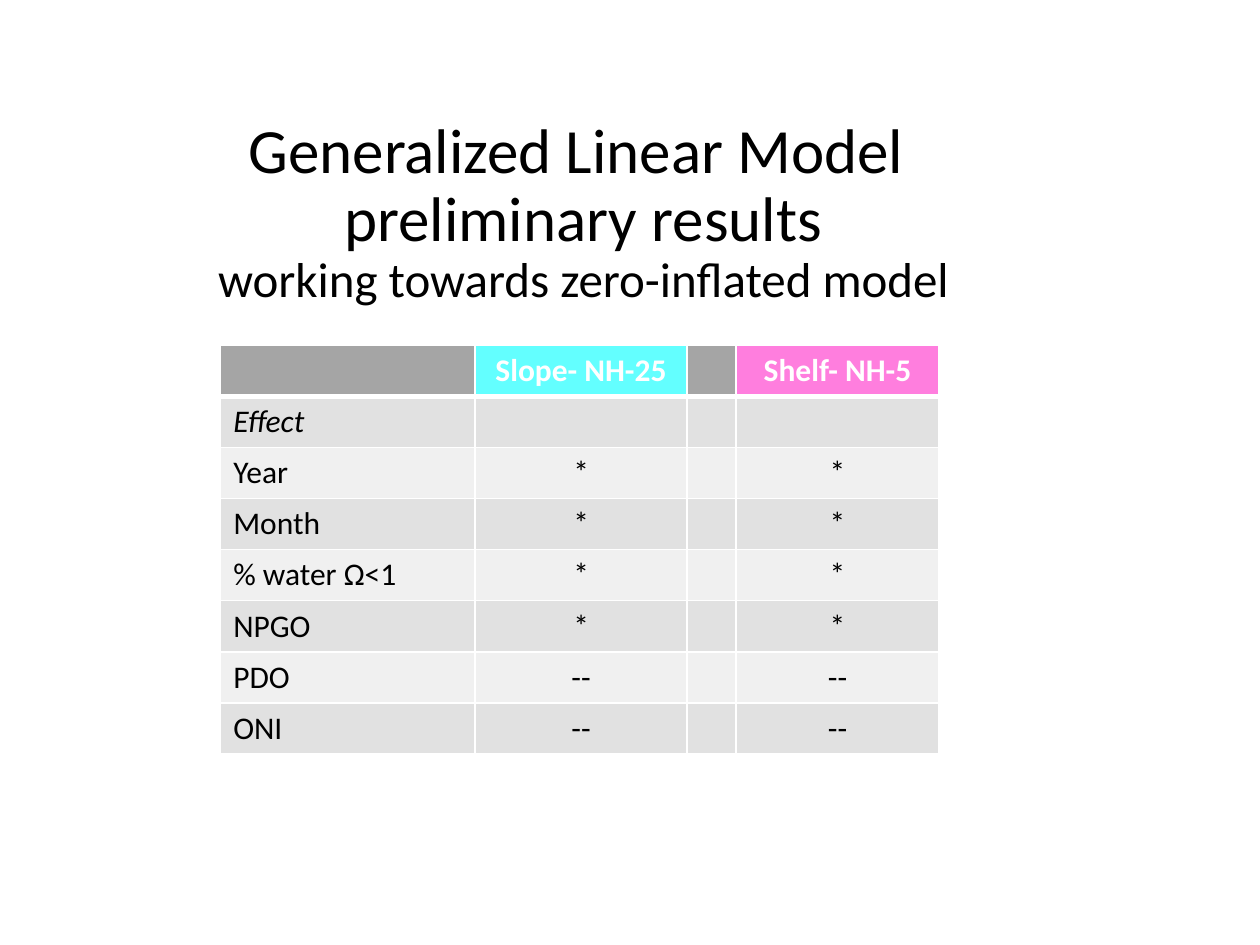
import pptx
import pptx.dml.color
import pptx.enum.text
import pptx.oxml
import pptx.oxml.ns
import pptx.util
from pptx.util import Cm

COLORS = {
    "text": "000000",
    "white": "FFFFFF",
    "header": "A5A5A5",
    "slope": "00FFFF",
    "shelf": "FF33CC",
    "odd_row": "E1E1E1",
    "even_row": "F0F0F0",
}
CENTER = pptx.enum.text.PP_ALIGN.CENTER
LEFT = pptx.enum.text.PP_ALIGN.LEFT

TITLE_PARTS = [
    ("Generalized Linear Model \vpreliminary results\v", 36),
    ("working towards zero-inflated model", 28),
]
HEADERS = ["", "Slope- NH-25", "", "Shelf- NH-5"]
HEADER_FILLS = [("header", None), ("slope", 61), ("header", None), ("shelf", 63)]
EFFECTS = [
    ("Effect", ""),
    ("Year", "*"),
    ("Month", "*"),
    ("% water Ω<1", "*"),
    ("NPGO", "*"),
    ("PDO", "--"),
    ("ONI", "--"),
]
COLUMN_WIDTHS = [5.13, 4.27, 0.99, 4.09]
ROW_HEIGHT = 1.03


class SlideBuilder:
    font_name = "Calibri"

    def __init__(self, slide):
        self.slide = slide

    def format_font(self, font, color, **values):
        for name, value in {"name": self.font_name, **values}.items():
            setattr(font, name, value)
        font.color.rgb = pptx.dml.color.RGBColor.from_string(COLORS[color])

    def title(self, parts, left, top, width, height):
        shape = self.slide.shapes.title
        box = {"left": left, "top": top, "width": width, "height": height}
        for name, value in box.items():
            setattr(shape, name, Cm(value))
        frame = shape.text_frame
        frame_format = {
            "word_wrap": True,
            "auto_size": pptx.enum.text.MSO_AUTO_SIZE.NONE,
            "vertical_anchor": pptx.enum.text.MSO_ANCHOR.MIDDLE,
        }
        for name, value in frame_format.items():
            setattr(frame, name, value)
        paragraph = frame.paragraphs[0]
        paragraph.alignment = CENTER
        paragraph.line_spacing = 0.9
        for text, size in parts:
            # A vertical tab marks a line break inside the paragraph
            lines = text.split("\v")
            for index, line in enumerate(lines):
                if index:
                    paragraph.add_line_break()
                if line:
                    run = paragraph.add_run()
                    run.text = line
                    self.format_font(run.font, "text", size=pptx.util.Pt(size))

    def table(self, left, top, column_widths, row_height, row_count):
        frame = self.slide.shapes.add_table(
            row_count, len(column_widths), Cm(left), Cm(top),
            Cm(sum(column_widths)), Cm(row_height * row_count))
        table = frame.table
        for column, width in zip(table.columns, column_widths):
            column.width = Cm(width)
        for row in table.rows:
            row.height = Cm(row_height)
        return table

    def cell(self, cell, text, fill, alpha=None, align=LEFT, color="text",
             borders=(1, 1, 1, 1), **font_values):
        paragraph = cell.text_frame.paragraphs[0]
        paragraph.alignment = align
        values = {"size": pptx.util.Pt(18), "bold": False, **font_values}
        if text:
            run = paragraph.add_run()
            run.text = text
            self.format_font(run.font, color, **values)
        cell.fill.solid()
        cell.fill.fore_color.rgb = pptx.dml.color.RGBColor.from_string(COLORS[fill])
        properties = cell._tc.get_or_add_tcPr()
        namespace = pptx.oxml.ns.nsdecls("a")
        if alpha:
            color_element = properties.find(".//" + pptx.oxml.ns.qn("a:srgbClr"))
            color_element.append(pptx.oxml.parse_xml(
                f'<a:alpha {namespace} val="{alpha * 1000}"/>'))
        # Borders come before the fill: left, right, top, bottom
        for index, (side, points) in enumerate(zip("LRTB", borders)):
            properties.insert(index, pptx.oxml.parse_xml(
                f'<a:ln{side} {namespace} w="{pptx.util.Pt(points)}"><a:solidFill>'
                f'<a:srgbClr val="{COLORS["white"]}"/></a:solidFill></a:ln{side}>'))


def main():
    presentation = pptx.Presentation()
    presentation.slide_width = Cm(25.4)
    presentation.slide_height = Cm(19.05)
    slide = presentation.slides.add_slide(presentation.slide_layouts[5])
    builder = SlideBuilder(slide)

    # Title
    builder.title(TITLE_PARTS, 1.42, 2.46, 20.68, 3.68)

    # Results table: header row
    table = builder.table(4.45, 6.96, COLUMN_WIDTHS, ROW_HEIGHT, len(EFFECTS) + 1)
    for column, (text, (fill, alpha)) in enumerate(zip(HEADERS, HEADER_FILLS)):
        builder.cell(table.cell(0, column), text, fill, alpha, CENTER, "white",
                     borders=(1, 1, 1, 3), bold=True)

    # Results table: one row for each effect, the same result at both stations
    for row, (effect, result) in enumerate(EFFECTS, start=1):
        fill = "odd_row" if row % 2 else "even_row"
        borders = (1, 1, 3 if row == 1 else 1, 1)
        for column, text in enumerate([effect, result, "", result]):
            builder.cell(table.cell(row, column), text, fill,
                         align=CENTER if column else LEFT,
                         borders=borders, italic=row == 1)

    presentation.save("out.pptx")


if __name__ == "__main__":
    main()
